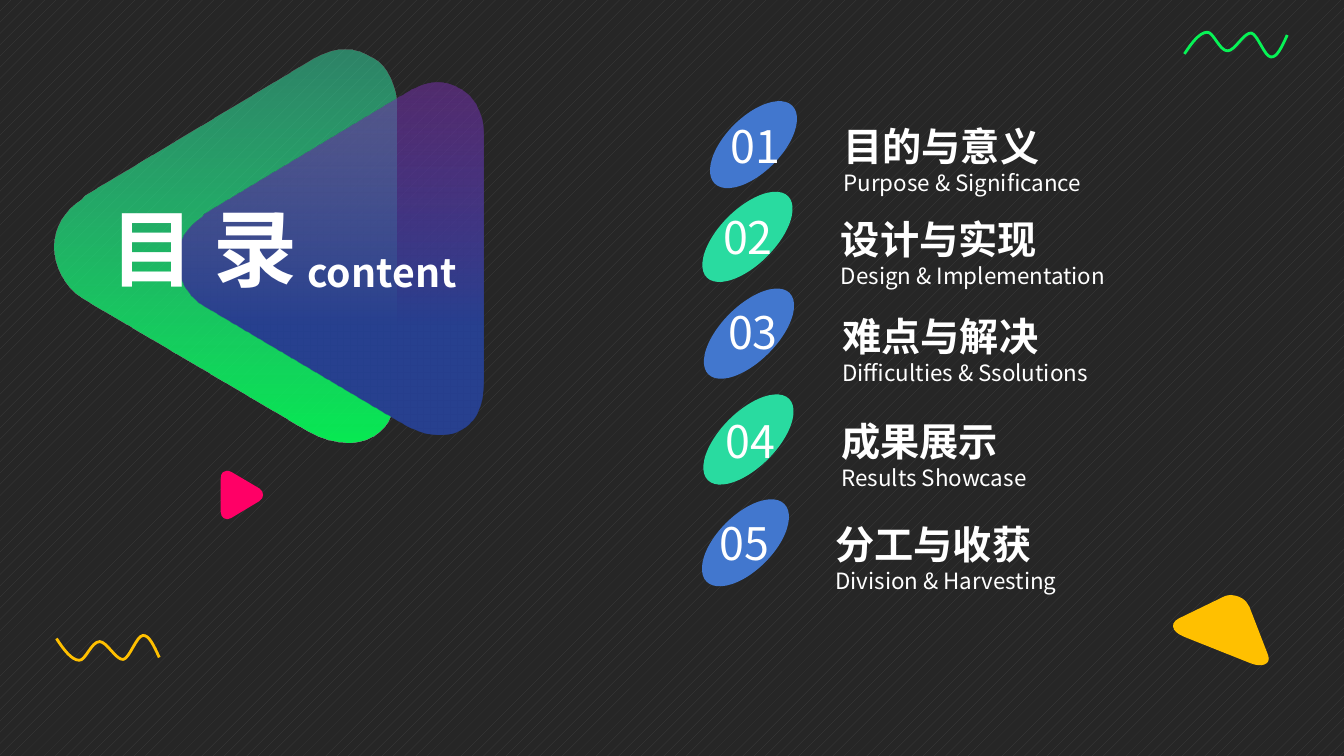
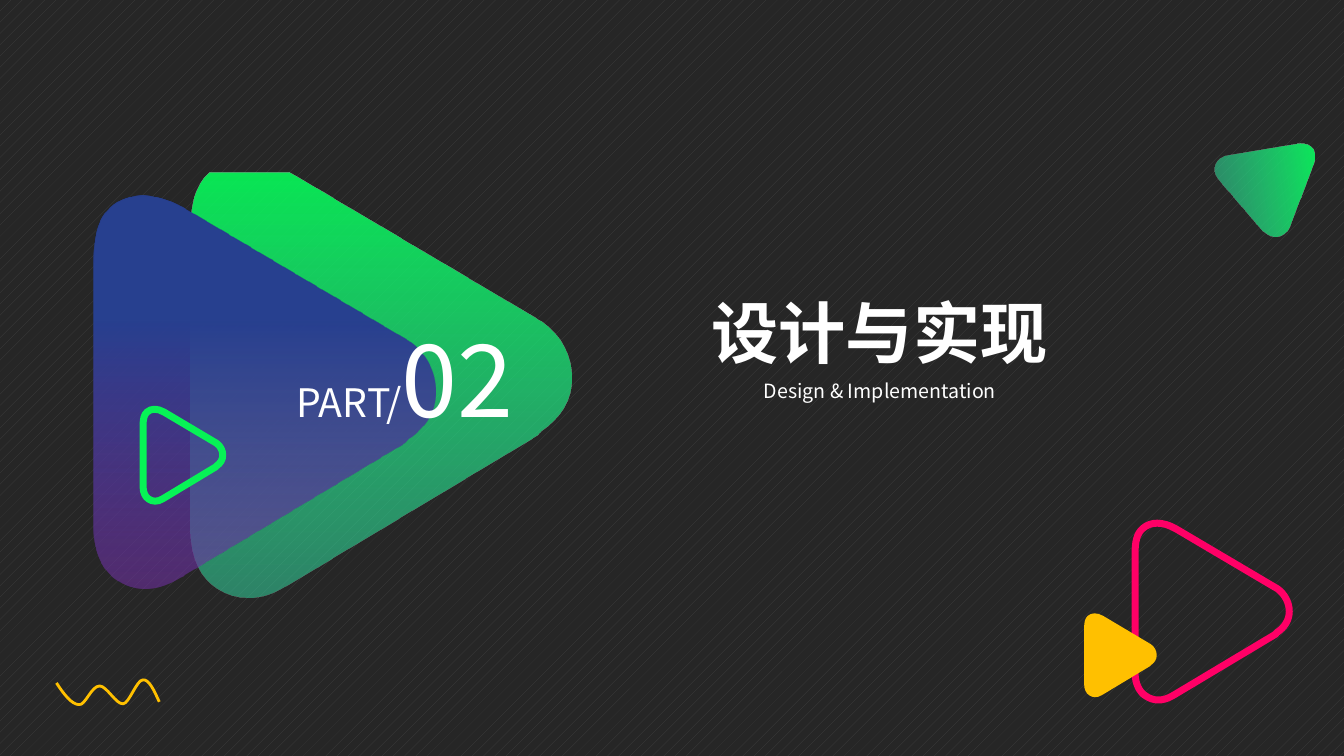
import pptx
import pptx.dml.color
import pptx.enum.dml
import pptx.enum.shapes
import pptx.enum.text
import pptx.oxml.ns
import pptx.util
from lxml import etree

RGB = pptx.dml.color.RGBColor
DARK = RGB(0x26, 0x26, 0x26)
GREY = RGB(0x40, 0x40, 0x40)
WHITE = RGB(0xFF, 0xFF, 0xFF)
GOLD = RGB(0xFF, 0xC0, 0x00)
PINK = RGB(0xFF, 0x00, 0x66)
LIME = RGB(0x07, 0xF3, 0x56)
BLUE = RGB(0x42, 0x77, 0xCE)
MINT = RGB(0x29, 0xDB, 0xA0)
# Gradient stops: position, colour, opacity in percent
GREEN = ((0, RGB(0x07, 0xF7, 0x57), 94), (1, RGB(0x36, 0xDE, 0xA6), 51))
NIGHT = ((0.31, RGB(0x27, 0x40, 0x8F), 100), (1, RGB(0x70, 0x30, 0xA0), 58))

FONT = "Noto Sans CJK SC"
CELL = pptx.util.Inches(0.1)
COLS, ROWS = 133.33, 75
ALIGN = pptx.enum.text.PP_ALIGN
qn = pptx.oxml.ns.qn

# Outlines in a unit box: two numbers make a line, six make a Bezier curve
WEDGE = (
    (0.5, 0), (0.55, 0, 0.59, 0.03, 0.62, 0.08),
    (0.63, 0.09), (0.97, 0.74), (0.98, 0.76),
    (1.01, 0.82, 1.01, 0.88, 0.98, 0.93),
    (0.96, 0.97, 0.91, 1, 0.85, 1), (0.17, 1),
    (0.11, 1, 0.06, 0.99, 0.03, 0.95),
    (-0.01, 0.9, -0.01, 0.82, 0.03, 0.74),
    (0.04, 0.72), (0.36, 0.1), (0.37, 0.08),
    (0.4, 0.03, 0.45, 0, 0.5, 0),
)
WAVE = (
    (0, 0.14), (0.07, 0.58, 0.15, 1, 0.22, 1),
    (0.28, 1.04, 0.34, 0.26, 0.42, 0.26),
    (0.49, 0.26, 0.58, 1, 0.65, 0.97),
    (0.71, 0.93, 0.78, 0.03, 0.84, 0.02),
    (0.9, -0.02, 0.95, 0.44, 1, 0.89),
)


class Deck:
    """Holds the style and the current slide; boxes are in grid cells."""

    def __init__(self):
        self.show = pptx.Presentation()
        self.show.slide_width = self.cells(COLS)
        self.show.slide_height = self.cells(ROWS)
        self.slide = self.shapes = None

    def cells(self, count):
        return round(count * CELL)

    def page(self):
        self.slide = self.show.slides.add_slide(self.show.slide_layouts[6])
        self.shapes = self.slide.shapes
        fill = self.slide.background.fill
        fill.patterned()
        fill.pattern = pptx.enum.dml.MSO_PATTERN.PERCENT_10
        fill.fore_color.rgb = GREY
        fill.back_color.rgb = DARK

    def group(self):
        """Put what follows into a new group."""
        self.shapes = self.slide.shapes.add_group_shape().shapes

    def loose(self):
        """Put what follows straight on the slide."""
        self.shapes = self.slide.shapes

    def paint(self, shape, fill=None, line=None, width=0):
        shape.shadow.inherit = False
        if line is None:
            shape.line.fill.background()
        else:
            shape.line.color.rgb = line
            shape.line.width = pptx.util.Pt(width)
        if fill is None:
            shape.fill.background()
        elif isinstance(fill, RGB):
            shape.fill.solid()
            shape.fill.fore_color.rgb = fill
        else:
            self.blend(shape, fill)

    def blend(self, shape, stops):
        """Fill with a gradient of partly clear colours."""
        shape.fill.gradient()
        shape.fill.gradient_angle = 0
        for stop, (place, tint, _) in zip(shape.fill.gradient_stops, stops):
            stop.position = place
            stop.color.rgb = tint
        tags = list(shape.element.spPr.iter(qn("a:srgbClr")))
        for tag, (_, _, clear) in zip(tags, stops):
            etree.SubElement(tag, qn("a:alpha"), val=str(clear * 1000))

    def draw(self, segs, box, close):
        """Fit an outline of lines and true curves into a box."""
        left, top, wide, high = map(self.cells, box)
        pen = self.shapes.build_freeform(left, top)
        pen.add_line_segments([(left + wide, top + high)], close=close)
        shape = pen.convert_to_shape()
        trail = next(shape.element.spPr.iter(qn("a:path")))
        for part in list(trail):
            trail.remove(part)
        for index, seg in enumerate(segs):
            name = "a:cubicBezTo" if len(seg) == 6 else "a:lnTo"
            part = etree.SubElement(trail, qn(name if index else "a:moveTo"))
            for u, v in zip(seg[::2], seg[1::2]):
                etree.SubElement(part, qn("a:pt"), x=str(round(u * wide)),
                                 y=str(round(v * high)))
        if close:
            etree.SubElement(trail, qn("a:close"))
        return shape

    def wedge(self, box, turn, fill=None, line=None):
        """Rounded triangle, pointing up before it is turned."""
        shape = self.draw(WEDGE, box, True)
        shape.rotation = turn
        self.paint(shape, fill, line, 5)

    def wave(self, left, top, tint, flip=False):
        segs = WAVE
        if flip:
            segs = [tuple(1 - n if i % 2 else n for i, n in enumerate(seg))
                    for seg in WAVE]
        shape = self.draw(segs, (left, top, 10.2, 2.5), False)
        self.paint(shape, line=tint, width=2)

    def oval(self, box, fill):
        kind = pptx.enum.shapes.MSO_SHAPE.OVAL
        shape = self.shapes.add_shape(kind, *map(self.cells, box))
        shape.rotation = 45
        self.paint(shape, fill)

    def style(self, run, size, bold=False):
        font = run.font
        font.size = pptx.util.Pt(size)
        font.bold = bold
        font.color.rgb = WHITE
        font.name = FONT
        latin = next(run._r.iter(qn("a:latin")))
        latin.addnext(etree.Element(qn("a:ea"), typeface=FONT))

    def text(self, box, lines, align=ALIGN.CENTER, wrap=True):
        """Each line is a list of runs: words, size and, if set, bold."""
        shape = self.shapes.add_textbox(*map(self.cells, box))
        frame = shape.text_frame
        frame.word_wrap = wrap
        frame.auto_size = pptx.enum.text.MSO_AUTO_SIZE.SHAPE_TO_FIT_TEXT
        frame.text = "\n".join(line[0][0] for line in lines)
        for para, line in zip(frame.paragraphs, lines):
            para.alignment = align
            for words, *_ in line[1:]:
                para.add_run().text = words
            for run, (_, *look) in zip(para.runs, line):
                self.style(run, *look)


# Title, subtitle, then the boxes of the label, the oval and the number
TOPICS = (
    ("目的与意义", "Purpose & Significance", (82.7, 11.65, 44.8, 8.4),
     (72, 8.9, 5.5, 10.9), (69.1, 11.3, 11.7, 4.1)),
    ("设计与实现", "Design & Implementation", (82.45, 20.85, 39.4, 8.4),
     (71.4, 17.8, 5.5, 11.4), (68.1, 20.3, 12.2, 4.1)),
    ("难点与解决", "Difficulties & Ssolutions", (82.6, 30.45, 39.4, 8.4),
     (71.55, 27.4, 5.5, 11.4), (68.6, 29.75, 12.2, 4.1)),
    ("成果展示", "Results Showcase", (82.5, 40.9, 39.4, 8.4),
     (71.5, 37.9, 5.5, 11.4), (68.35, 40.5, 12.2, 4.1)),
    ("分工与收获", "Division & Harvesting", (81.9, 51.1, 37.7, 8.4),
     (71.2, 48.4, 5.5, 10.9), (68, 50.65, 11.7, 6.4)),
)


def contents(deck):
    deck.page()
    deck.wedge((116.8, 59, 10.1, 5.7), 21.7, GOLD)
    deck.wedge((21.6, 47, 4.8, 4.2), 90, PINK)
    deck.wave(117.5, 3.2, LIME, flip=True)
    deck.wave(5.6, 63, GOLD)
    deck.group()
    deck.wedge((3, 7.5, 38.8, 33.9), 270, GREEN)
    deck.wedge((15.4, 10.5, 34.8, 30.4), 270, NIGHT)
    deck.text((9.5, 19, 21.4, 11.1), [[("目 录", 60, True)]], wrap=False)
    deck.text((29.3, 24.1, 17.2, 5.7), [[("content", 28, True)]], wrap=False)
    for index, (title, sub, label, oval, number) in enumerate(TOPICS):
        deck.group()
        deck.text(label, [[(title, 28, True)], [(sub, 16)]], ALIGN.LEFT)
        deck.oval(oval, MINT if index % 2 else BLUE)
        deck.text(number, [[(f"{index + 1:02}", 32)]])


def section(deck):
    deck.page()
    deck.group()
    deck.wedge((111.5, 53, 17.5, 15.3), 90, line=PINK)
    deck.wedge((107, 61.4, 8.3, 7.2), 90, GOLD)
    deck.group()
    deck.wedge((16.1, 18.6, 43.4, 37.8), 90, GREEN)
    deck.wedge((6.8, 21.9, 38.9, 33.9), 90, NIGHT)
    deck.text((19.05, 30.9, 32.9, 13.1), [[("PART/", 28), ("02", 72)]],
              ALIGN.RIGHT)
    deck.wedge((13.6, 41.2, 9.1, 7.9), 90, line=LIME)
    deck.loose()
    deck.wedge((121, 14.8, 10, 8.7), 170.3, GREEN)
    deck.wave(5.6, 67.4, GOLD)
    deck.text((65.2, 28.4, 44.1, 9.1), [[("设计与实现", 48, True)]])
    deck.text((57.9, 37.1, 58.8, 3.4), [[("Design & Implementation", 14)]])


def main():
    deck = Deck()
    contents(deck)
    section(deck)
    deck.show.save("out.pptx")


if __name__ == "__main__":
    main()
